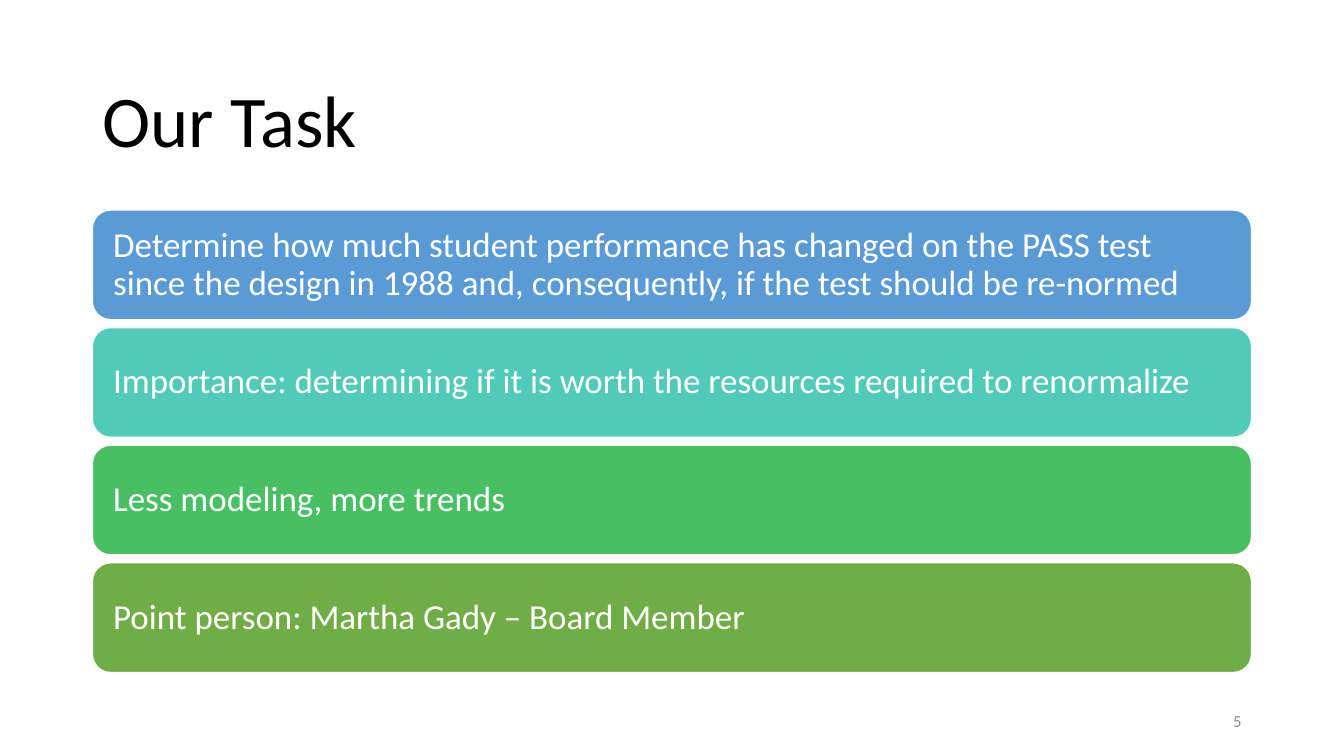
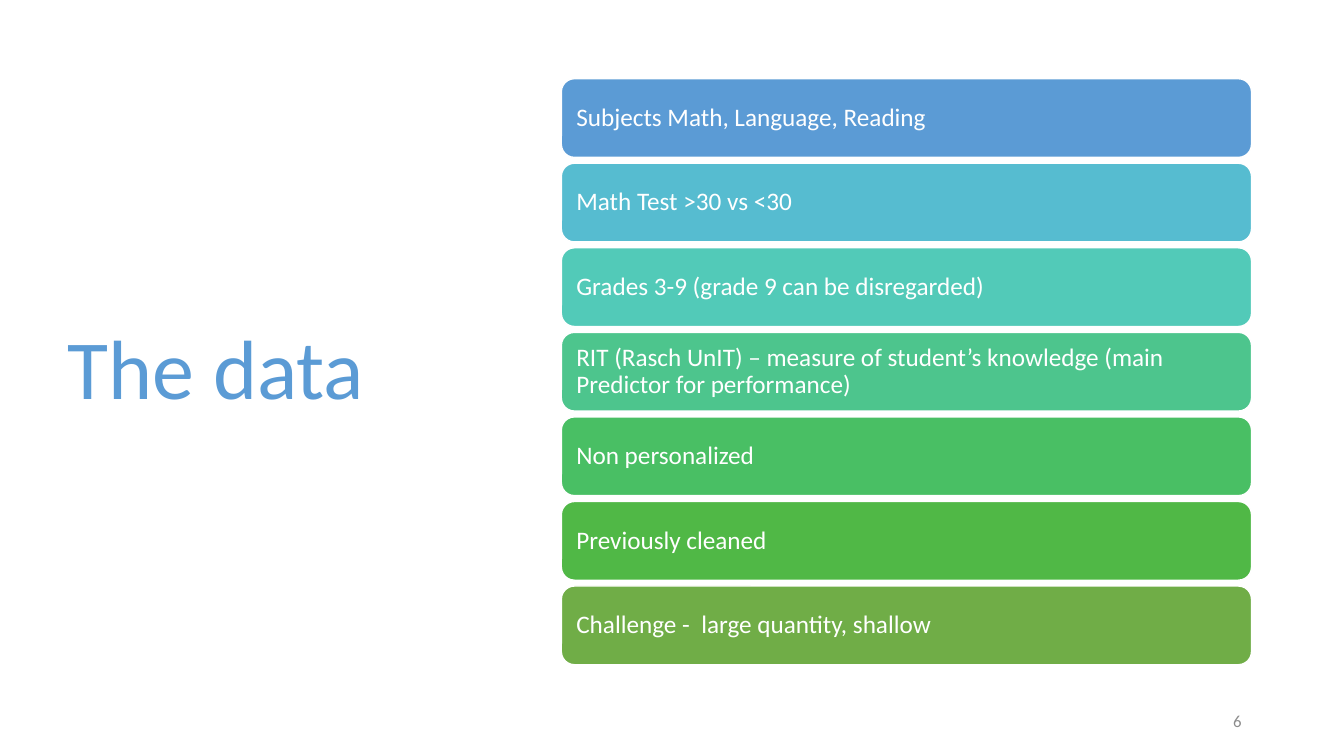
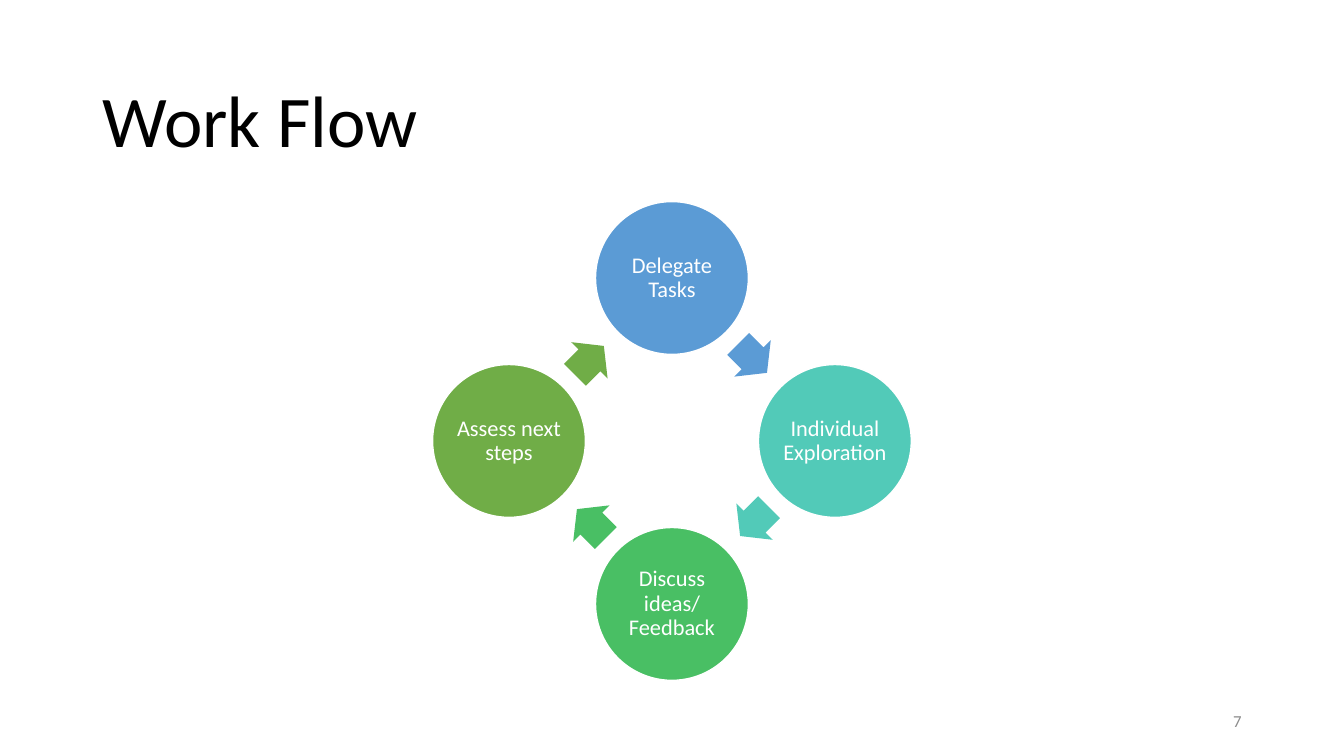
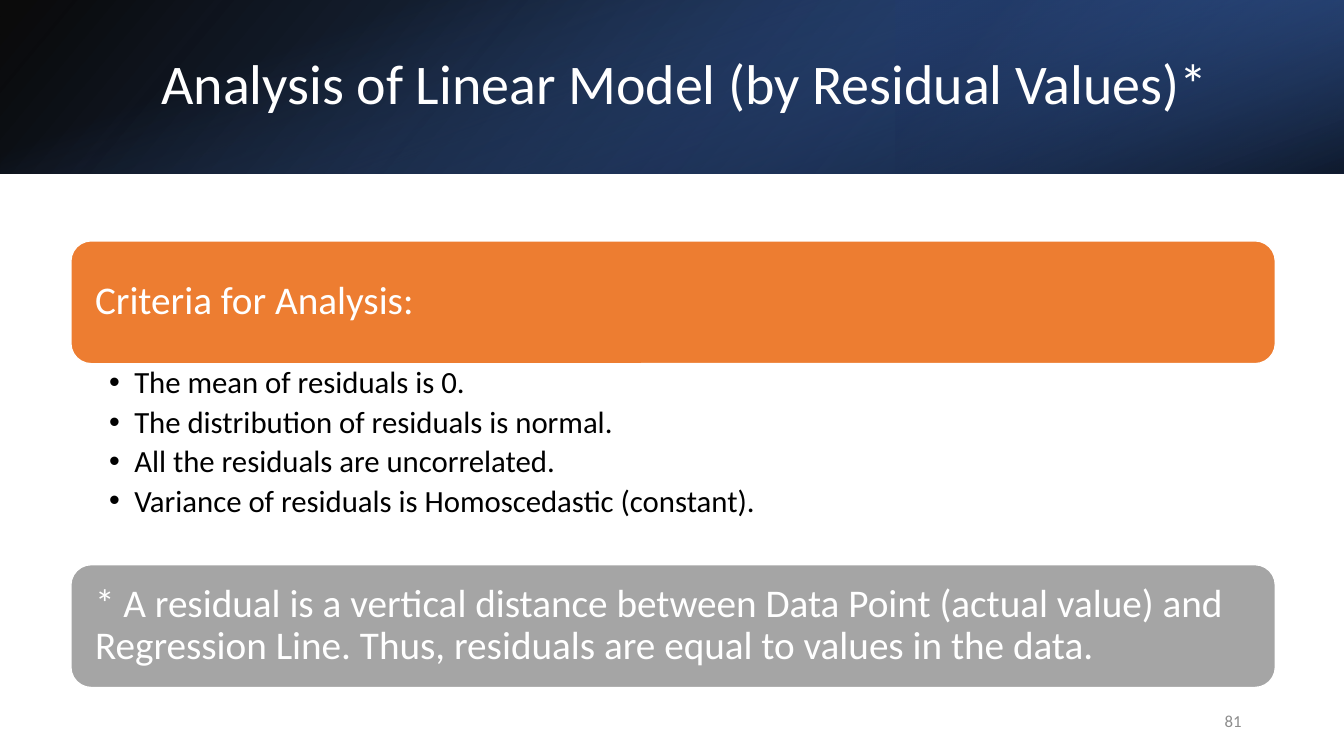
from math import cos, radians, sin

from lxml.etree import SubElement
from pptx import Presentation
from pptx.dml.color import RGBColor
from pptx.enum.shapes import MSO_SHAPE
from pptx.enum.text import MSO_ANCHOR, MSO_AUTO_SIZE, PP_ALIGN
from pptx.oxml.ns import qn
from pptx.util import Pt

FONT = "Calibri"
COLORS = {
    "white": "FFFFFF",
    "black": "000000",
    "number": "8C8C8C",
    "blue": "5B9BD5",
    "sky": "56BCD0",
    "teal": "52CAB8",
    "mint": "4DC58D",
    "green": "49BF64",
    "leaf": "50B846",
    "olive": "70AD47",
    "orange": "ED7D31",
    "gray": "A5A5A5",
    "navy": "2F5597",
    "midnight": "203864",
    "royal": "4472C4",
}


def write_text(paragraph, text, size, color, alignment=PP_ALIGN.LEFT, spacing=0.9):
    paragraph.alignment = alignment
    paragraph.line_spacing = spacing
    run = paragraph.add_run()
    run.text = text
    run.font.name = FONT
    run.font.size = Pt(size)
    run.font.color.rgb = RGBColor.from_string(COLORS[color])


def add_block(slide, kind, box, color, text, size, inset, alignment=PP_ALIGN.LEFT):
    shape = slide.shapes.add_shape(kind, *[Pt(length) for length in box])
    shape.shadow.inherit = False
    shape.fill.solid()
    shape.fill.fore_color.rgb = RGBColor.from_string(COLORS[color])
    shape.line.color.rgb = RGBColor.from_string(COLORS["white"])
    shape.line.width = Pt(1)
    frame = shape.text_frame
    frame.word_wrap = True
    frame.vertical_anchor = MSO_ANCHOR.MIDDLE
    frame.margin_left = frame.margin_right = Pt(inset)
    frame.margin_top = frame.margin_bottom = Pt(inset)
    write_text(frame.paragraphs[0], text, size, "white", alignment)


presentation = Presentation()
presentation.slide_width = Pt(960)
presentation.slide_height = Pt(540)

TITLE_BOX = (66, 44, 828, 89)
slide_heads = [
    ("Our Task", TITLE_BOX, 52, "black", "5", 5),
    ("The data", (41, 49, 299.5, 433.5), 60, "blue", "6", 5),
    ("Work Flow", TITLE_BOX, 52, "black", "7", 5),
    ("Analysis of Linear Model (by Residual Values)*", (108, 27.4, 790.5, 69), 40, "white", "81", 1),
]
slides = []
for text, box, size, color, number, layout in slide_heads:
    slide = presentation.slides.add_slide(presentation.slide_layouts[layout])
    title = slide.shapes.title
    title.left, title.top, title.width, title.height = [Pt(length) for length in box]
    title.text_frame.auto_size = MSO_AUTO_SIZE.NONE
    title.text_frame.vertical_anchor = MSO_ANCHOR.MIDDLE
    write_text(title.text_frame.paragraphs[0], text, size, color)
    label = slide.shapes.add_textbox(Pt(678), Pt(500.5), Pt(216), Pt(28.75))
    label.text_frame.word_wrap = True
    label.text_frame.vertical_anchor = MSO_ANCHOR.MIDDLE
    write_text(label.text_frame.paragraphs[0], number, 12, "number", PP_ALIGN.RIGHT, 1.0)
    slides.append(slide)
task_slide, data_slide, flow_slide, analysis_slide = slides

task_bars = [
    ("Determine how much student performance has changed on the PASS test since the design in 1988 and, consequently, if the test should be re-normed", "blue"),
    ("Importance: determining if it is worth the resources required to renormalize", "teal"),
    ("Less modeling, more trends", "green"),
    ("Point person: Martha Gady – Board Member", "olive"),
]
data_bars = [
    ("Subjects Math, Language, Reading", "blue"),
    ("Math Test >30 vs <30", "sky"),
    ("Grades 3-9 (grade 9 can be disregarded)", "teal"),
    ("RIT (Rasch UnIT) – measure of student’s knowledge (main Predictor for performance)", "mint"),
    ("Non personalized", "green"),
    ("Previously cleaned", "leaf"),
    ("Challenge -  large quantity, shallow", "olive"),
]
analysis_bars = [
    ("Criteria for Analysis:", "orange"),
    ("* A residual is a vertical distance between Data Point (actual value) and Regression Line. Thus, residuals are equal to values in the data.", "gray"),
]
bar_stacks = [
    (task_slide, task_bars, 66, 150, 828, 78.4, 84, 25, 11),
    (data_slide, data_bars, 401, 56.2, 493, 56.2, 60.4, 18, 8),
    (analysis_slide, analysis_bars, 50.6, 172, 860.4, 87.8, 231.3, 28, 13),
]
for slide, bars, left, top, width, height, pitch, size, inset in bar_stacks:
    for index, (text, color) in enumerate(bars):
        box = (left, top + index * pitch, width, height)
        add_block(slide, MSO_SHAPE.ROUNDED_RECTANGLE, box, color, text, size, inset)

CENTER_X, CENTER_Y = 480, 315
STEP_RADIUS, STEP_SIZE = 116.4, 109.2
ARROW_RADIUS, ARROW_WIDTH, ARROW_HEIGHT = 82.4, 29.2, 36.8
steps = [
    ("Delegate Tasks", "blue"),
    ("Individual Exploration", "teal"),
    ("Discuss ideas/ Feedback", "green"),
    ("Assess next steps", "olive"),
]
for index, (text, color) in enumerate(steps):
    angle = radians(index * 90 - 90)
    left = CENTER_X + STEP_RADIUS * cos(angle) - STEP_SIZE / 2
    top = CENTER_Y + STEP_RADIUS * sin(angle) - STEP_SIZE / 2
    box = (left, top, STEP_SIZE, STEP_SIZE)
    add_block(flow_slide, MSO_SHAPE.OVAL, box, color, text, 16, 1.5, PP_ALIGN.CENTER)

    angle = radians(index * 90 - 45.7)
    left = CENTER_X + ARROW_RADIUS * cos(angle) - ARROW_WIDTH / 2
    top = CENTER_Y + ARROW_RADIUS * sin(angle) - ARROW_HEIGHT / 2
    arrow = flow_slide.shapes.add_shape(
        MSO_SHAPE.RIGHT_ARROW, Pt(left), Pt(top), Pt(ARROW_WIDTH), Pt(ARROW_HEIGHT))
    arrow.shadow.inherit = False
    arrow.rotation = index * 90 + 45
    arrow.adjustments[0] = 0.6
    arrow.adjustments[1] = 0.5
    arrow.fill.solid()
    arrow.fill.fore_color.rgb = RGBColor.from_string(COLORS[color])
    arrow.line.fill.background()

BAND_HEIGHT = 124
band_layers = [
    ((0, 0, 960, BAND_HEIGHT), 0, True, 140, [(0, "black", 96), (100, "navy", 100)]),
    ((640, 0, 320, BAND_HEIGHT), 180, True, 320, [(19, "midnight", 68), (100, "royal", 79)]),
    ((480 - BAND_HEIGHT / 2, BAND_HEIGHT / 2 - 480, BAND_HEIGHT, 960), 90, False, 340,
     [(23, "royal", 0), (99, "black", 74)]),
]
for box, rotation, flipped, angle, stops in band_layers:
    band = analysis_slide.shapes.add_shape(MSO_SHAPE.RECTANGLE, *[Pt(length) for length in box])
    band.shadow.inherit = False
    band.line.fill.background()
    band.rotation = rotation
    if flipped:
        band._element.spPr.find(qn("a:xfrm")).set("flipH", "1")
    band.fill.gradient()
    band.fill.gradient_angle = 360 - angle
    for stop, (position, color, opacity) in zip(band.fill.gradient_stops, stops):
        stop.position = position / 100
        stop.color.rgb = RGBColor.from_string(COLORS[color])
    for element, (position, color, opacity) in zip(band._element.spPr.iter(qn("a:srgbClr")), stops):
        SubElement(element, qn("a:alpha")).set("val", str(opacity * 1000))
title_element = analysis_slide.shapes.title._element
title_element.getparent().append(title_element)

criteria = [
    "The mean of residuals is 0.",
    "The distribution of residuals is normal.",
    "All the residuals are uncorrelated.",
    "Variance of residuals is Homoscedastic (constant).",
]
body = analysis_slide.placeholders[1]
body.left, body.top, body.width, body.height = Pt(50.6), Pt(259.5), Pt(860.4), Pt(144)
frame = body.text_frame
frame.auto_size = MSO_AUTO_SIZE.NONE
frame.vertical_anchor = MSO_ANCHOR.TOP
frame.margin_left, frame.margin_right = Pt(27.3), Pt(15.6)
frame.margin_top = frame.margin_bottom = Pt(2.8)
for index, text in enumerate(criteria):
    paragraph = frame.paragraphs[0] if index == 0 else frame.add_paragraph()
    properties = paragraph._p.get_or_add_pPr()
    properties.set("marL", str(Pt(18)))
    properties.set("indent", str(-Pt(18)))
    SubElement(properties, qn("a:buChar")).set("char", "•")
    paragraph.space_before = Pt(0)
    paragraph.space_after = Pt(4.4)
    write_text(paragraph, text, 22, "black")

presentation.save("out.pptx")
